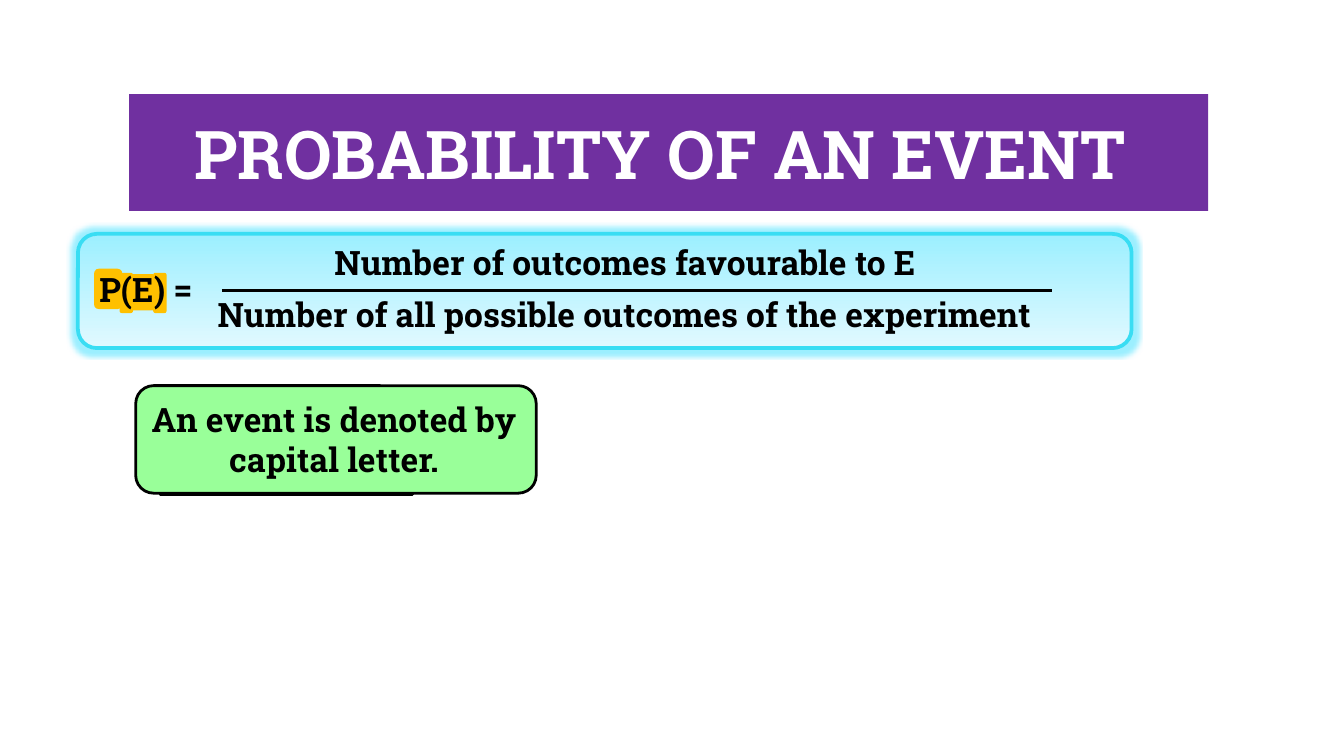
from dataclasses import dataclass

from lxml import etree
from pptx import Presentation
from pptx.dml.color import RGBColor as RGB
from pptx.enum.shapes import MSO_CONNECTOR as CONN, MSO_SHAPE as SHAPE
from pptx.enum.text import MSO_ANCHOR as ANCHOR, PP_ALIGN as ALIGN
from pptx.oxml.ns import qn
from pptx.util import Inches, Pt


@dataclass(frozen=True)
class Theme:
    font: str = "Roboto Slab"
    title_size: int = 36
    body_size: int = 18
    ink: str = "000000"
    white: str = "FFFFFF"
    purple: str = "7030A0"
    amber: str = "FFC000"
    green: str = "99FF99"
    cyan: str = "39DDF3"
    cyan_mid: str = "9CEFFF"
    cyan_pale: str = "E1F9FF"


T = Theme()


def rgb(value):
    return RGB.from_string(value)


def place(sp, box):
    sp.left, sp.top, sp.width, sp.height = map(Inches, box)


def add_run(tf, text, size, color, align):
    p = tf.paragraphs[0]
    p.alignment = align
    r = p.add_run()
    r.text = text
    r.font.name, r.font.size, r.font.bold = T.font, Pt(size), True
    r.font.color.rgb = rgb(color)


def add_title(s, text, box):
    sp = s.shapes.title
    place(sp, box)
    sp.fill.solid()
    sp.fill.fore_color.rgb = rgb(T.purple)
    sp.text_frame.vertical_anchor = ANCHOR.MIDDLE
    add_run(sp.text_frame, text, T.title_size, T.white, ALIGN.CENTER)


def add_box(s, kind, box, fill, line=None, width=1.5):
    sp = s.shapes.add_shape(kind, *map(Inches, box))
    sp.shadow.inherit = False
    sp.fill.solid()
    sp.fill.fore_color.rgb = rgb(fill)
    if line:
        sp.line.color.rgb = rgb(line)
        sp.line.width = Pt(width)
    else:
        sp.line.fill.background()
    return sp


def add_glow_panel(s, box):
    sp = add_box(s, SHAPE.ROUNDED_RECTANGLE, box, T.cyan_mid, T.cyan, 2)
    sp.fill.gradient()
    sp.fill.gradient_angle = 270
    for stop, color in zip(sp.fill.gradient_stops, (T.cyan_mid, T.cyan_pale)):
        stop.color.rgb = rgb(color)
    effects = sp._element.spPr.find(qn("a:effectLst"))
    glow = etree.SubElement(effects, qn("a:glow"), rad=str(Pt(5)))
    etree.SubElement(glow, qn("a:srgbClr"), val=T.cyan_mid)


def add_text(s, text, box, align=ALIGN.LEFT, wrap=False):
    tf = s.shapes.add_textbox(*map(Inches, box)).text_frame
    tf.word_wrap = wrap
    add_run(tf, text, T.body_size, T.ink, align)


def add_rule(s, left, right, y):
    line = s.shapes.add_connector(CONN.STRAIGHT, *map(Inches, (left, y, right, y)))
    line.line.color.rgb = rgb(T.ink)
    line.line.width = Pt(1.5)
    etree.SubElement(line._element.spPr, qn("a:effectLst"))


def main():
    # Widescreen 16:9 slide
    prs = Presentation()
    prs.slide_width = Inches(10)
    prs.slide_height = Inches(10 * 9 / 16)
    s = prs.slides.add_slide(prs.slide_layouts[5])

    add_title(s, "PROBABILITY OF AN EVENT ", (0.96, 0.7, 8.03, 0.87))

    # Formula panel, with one highlight behind each character of P(E)
    add_glow_panel(s, (0.58, 1.74, 7.84, 0.85))
    for box in ((0.96, 2.04, 0.21, 0.27), (1.14, 2.03, 0.1, 0.3),
                (0.89, 2.03, 0.1, 0.3), (0.7, 2, 0.21, 0.3)):
        add_box(s, SHAPE.ROUNDED_RECTANGLE, box, T.amber)

    # Formula as a fraction
    add_text(s, "P(E) =", (0.64, 1.95, 0.95, 0.4))
    add_text(s, "Number of outcomes favourable to E", (2.39, 1.75, 4.99, 0.4))
    add_text(s, "Number of all possible outcomes of the experiment",
             (1.52, 2.14, 6.91, 0.4))
    add_rule(s, 1.65, 7.83, 2.16)

    # Note on notation, over its two backing rectangles
    for left in (1.2, 1.19):
        add_box(s, SHAPE.RECTANGLE, (left, 2.88, 1.87, 0.8), T.green, T.ink)
    add_box(s, SHAPE.ROUNDED_RECTANGLE, (1.01, 2.87, 2.98, 0.8), T.green, T.ink)
    add_text(s, "An event is denoted by capital letter.",
             (0.98, 2.92, 3.01, 0.71), ALIGN.CENTER, wrap=True)

    prs.save("out.pptx")


if __name__ == "__main__":
    main()
